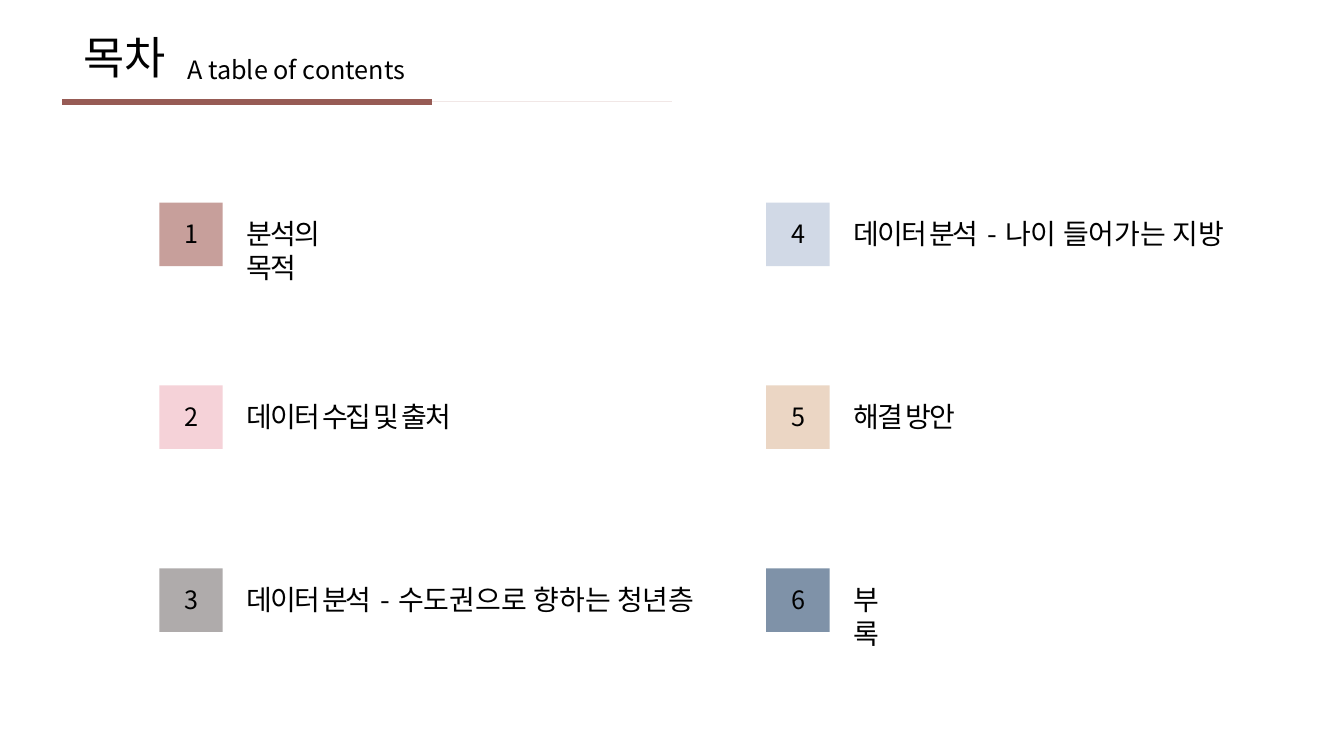
from dataclasses import dataclass

from lxml.etree import SubElement
from pptx import Presentation
from pptx.dml.color import RGBColor
from pptx.enum.shapes import MSO_CONNECTOR, MSO_SHAPE
from pptx.enum.text import MSO_AUTO_SIZE, PP_ALIGN
from pptx.oxml.ns import qn
from pptx.util import Inches, Pt


@dataclass(frozen=True)
class Theme:
    """Colours, font and type sizes of the slide."""
    font: str = "Noto Sans CJK KR"
    ink: str = "000000"
    rule: str = "F1E7E6"
    accent: str = "975B55"
    tiles: tuple = ("C79F9B", "F5D2D8", "AFABAB", "D1D9E6", "EBD6C4", "7F92A8")
    title: int = 32
    item: int = 20
    small: int = 18
    tight: int = -150


class Page:
    """Draws elements on one slide in one style."""

    def __init__(self, slide, theme):
        """Keep the slide and its theme."""
        self.slide, self.theme = slide, theme

    def line(self, left, right, y, color, width):
        """Draw a level line."""
        line = self.slide.shapes.add_connector(
            MSO_CONNECTOR.STRAIGHT, Inches(left), Inches(y), Inches(right), Inches(y))
        line.line.color.rgb = RGBColor.from_string(color)
        line.line.width = Pt(width)
        SubElement(line._element.spPr, qn("a:effectLst"))

    def tile(self, left, top, side, color):
        """Draw a plain square."""
        tile = self.slide.shapes.add_shape(
            MSO_SHAPE.RECTANGLE, Inches(left), Inches(top), Inches(side), Inches(side))
        tile.shadow.inherit = False
        tile.fill.solid()
        tile.fill.fore_color.rgb = RGBColor.from_string(color)
        tile.line.fill.background()

    def text(self, box, parts, size, align=PP_ALIGN.LEFT, wrap=False):
        """Write one paragraph from pairs of words and letter spacing."""
        frame = self.slide.shapes.add_textbox(*map(Inches, box)).text_frame
        frame.word_wrap = wrap
        frame.auto_size = MSO_AUTO_SIZE.SHAPE_TO_FIT_TEXT
        para = frame.paragraphs[0]
        para.alignment = align
        for words, space in parts:
            run = para.add_run()
            run.text = words
            if space:
                run._r.get_or_add_rPr().set("spc", str(space))
        font = para.font
        font.size = Pt(size)
        font.color.rgb = RGBColor.from_string(self.theme.ink)
        font.name = self.theme.font
        base = para._p.pPr.find(qn("a:defRPr"))
        SubElement(base, qn("a:ea")).set("typeface", self.theme.font)


ITEMS = (
    ("분석의 목적", "", 1.43),
    ("데이터 수집 및 출처", "", 2.23),
    ("데이터 분석  -  ", "수도권으로 향하는 청년층", 4.67),
    ("데이터 분석  -  ", "나이 들어가는 지방", 5.09),
    ("해결 방안", "", 1.32),
    ("부록", "", 0.67),
)


def main():
    """Build the contents slide."""
    deck = Presentation()
    deck.slide_width, deck.slide_height = Inches(13.33), Inches(7.5)
    theme = Theme()
    page = Page(deck.slides.add_slide(deck.slide_layouts[6]), theme)

    page.line(0.62, 6.67, 1.01, theme.rule, 0.5)
    page.line(0.62, 4.28, 1.01, theme.accent, 4.5)
    page.text((0.73, 0.25, 1.02, 0.64), [("목차", 0)], theme.title)
    page.text((1.76, 0.49, 2.45, 0.4), [("A table of contents", 0)], theme.small)

    for i, (lead, rest, width) in enumerate(ITEMS):
        col, row = divmod(i, 3)
        left, top = 1.58 + 6.02 * col, 2.01 + 1.815 * row
        page.tile(left, top, 0.63, theme.tiles[i])
        page.text((left + 0.14, top + 0.11, 0.35, 0.4), [(str(i + 1), 0)],
                  theme.small, PP_ALIGN.CENTER)
        parts = [(lead, theme.tight)] + ([(rest, 0)] if rest else [])
        page.text((left + 0.77, top + 0.09, width, 0.44), parts, theme.item,
                  wrap=width > 5)

    deck.save("out.pptx")


if __name__ == "__main__":
    main()
